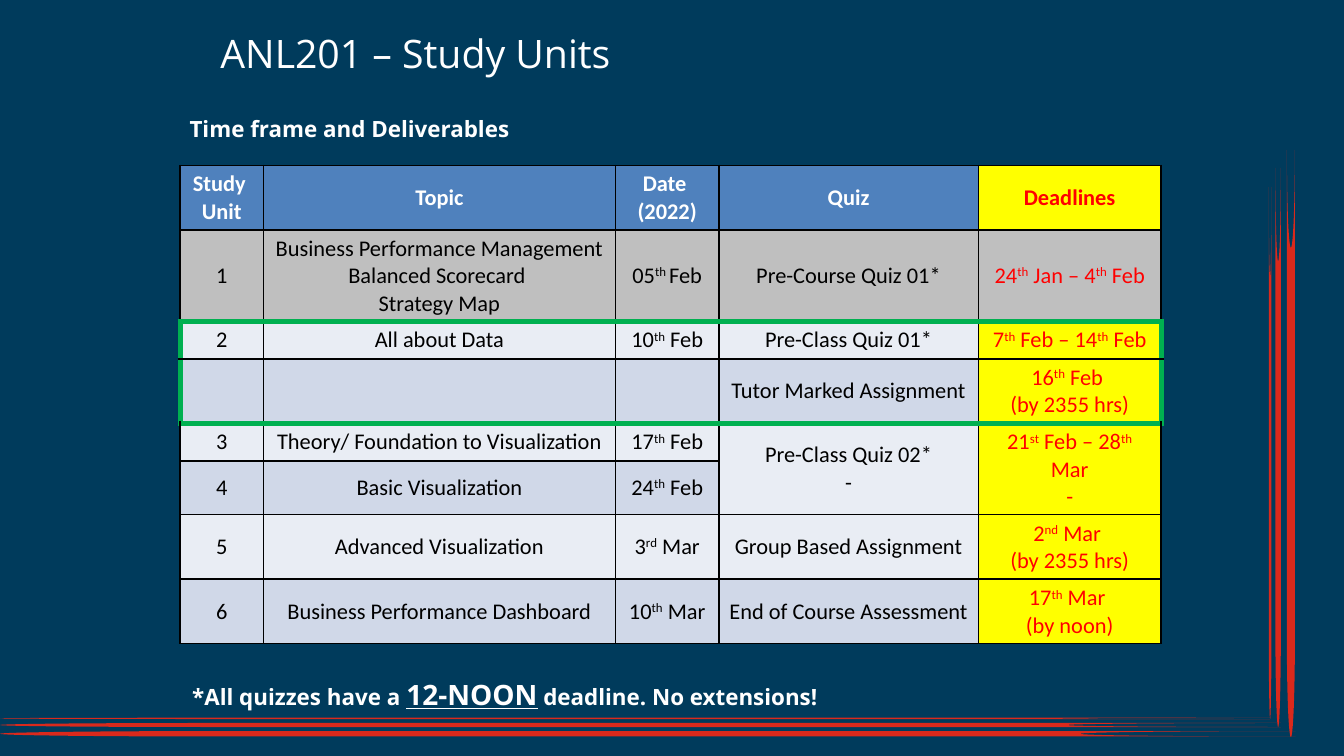
from typing import Callable, NamedTuple

from lxml.etree import SubElement
from pptx import Presentation
from pptx.dml.color import RGBColor
from pptx.enum.shapes import MSO_SHAPE as Shape
from pptx.enum.text import MSO_ANCHOR as Anchor, PP_ALIGN as Align
from pptx.oxml.ns import qn
from pptx.util import Inches, Pt

NAVY = RGBColor(0x00, 0x3B, 0x5C)
CRIMSON = RGBColor(0xDA, 0x29, 0x1C)
WHITE = RGBColor(0xFF, 0xFF, 0xFF)
BLACK = RGBColor(0x00, 0x00, 0x00)
RED = RGBColor(0xFF, 0x00, 0x00)
YELLOW = RGBColor(0xFF, 0xFF, 0x00)
BLUE = RGBColor(0x4F, 0x81, 0xBD)
GREY = RGBColor(0xBF, 0xBF, 0xBF)
PALE = RGBColor(0xE9, 0xED, 0xF4)
PALE_BLUE = RGBColor(0xD0, 0xD8, 0xE8)
GREEN = RGBColor(0x00, 0xB0, 0x50)

SLIDE_WIDTH = Inches(10)
SLIDE_HEIGHT = SLIDE_WIDTH * 9 // 16


class Streak(NamedTuple):
    left: float
    top: float
    length: float
    thickness: float
    rotation: int = 0


class Unit(NamedTuple):
    number: str
    topic: str
    date: str
    quiz: str
    deadline: str
    height: float
    fill: RGBColor


STREAKS = [
    Streak(0, 5.34, 9.45, 0.01),
    Streak(0, 5.38, 9.53, 0.03),
    Streak(0, 5.44, 9.64, 0.04),
    Streak(7.47, 3.36, 3.96, 0.02, 270),
    Streak(7.43, 3.31, 4.16, 0.04, 270),
    Streak(7.42, 3.27, 4.37, 0.06, 270),
]

# Text between carets is a superscript
UNITS = [
    Unit("Study \nUnit", "Topic", "Date \n(2022)", "Quiz", "Deadlines", 0.47, BLUE),
    Unit("1", "Business Performance Management\nBalanced Scorecard \nStrategy Map",
         "05^th ^Feb", "Pre-Course Quiz 01*", "24^th^ Jan – 4^th^ Feb", 0.68, GREY),
    Unit("2", "All about Data", "10^th^ Feb", "Pre-Class Quiz 01*",
         "7^th^ Feb – 14^th^ Feb", 0.28, PALE),
    Unit("", "", "", "Tutor Marked Assignment", "16^th^ Feb \n(by 2355 hrs)", 0.47, PALE_BLUE),
    Unit("3", "Theory/ Foundation to Visualization", "17^th^ Feb",
         "Pre-Class Quiz 02*\n-", "21^st^ Feb – 28^th^ Mar\n-", 0.28, PALE),
    Unit("4", "Basic Visualization", "24^th^ Feb", "", "", 0.28, PALE_BLUE),
    Unit("5", "Advanced Visualization", "3^rd^ Mar", "Group Based Assignment",
         "2^nd^ Mar \n(by 2355 hrs)", 0.47, PALE),
    Unit("6", "Business Performance Dashboard", "10^th^ Mar", "End of Course Assessment",
         "17^th^ Mar \n(by noon)", 0.47, PALE_BLUE),
]
COLUMN_WIDTHS = [0.62, 2.62, 0.77, 1.93, 1.36]
QUIZ, DEADLINE = 3, 4
CURRENT_ROWS = (2, 3)
MERGED_ROWS = (4, 5)


def superscript(run) -> None:
    run._r.get_or_add_rPr().set("baseline", "30000")


def emphasis(run) -> None:
    run.font.size = Pt(15)
    run.font.underline = True


def write_text(frame, text: str, *, size: float = 12, font: str = "Open Sans",
               color: RGBColor = WHITE, bold: bool = False, align: Align = Align.LEFT,
               mark: Callable = superscript) -> None:
    """Fill a frame, one paragraph a line; mark styles the text between carets."""
    for row, line in enumerate(text.split("\n")):
        paragraph = frame.add_paragraph() if row else frame.paragraphs[0]
        paragraph.alignment = align
        for index, piece in enumerate(line.split("^")):
            if not piece:
                continue
            run = paragraph.add_run()
            run.text = piece
            run.font.name = font
            run.font.size = Pt(size)
            run.font.bold = bold
            run.font.color.rgb = color
            if index % 2:
                mark(run)


def set_insets(target) -> None:
    target.margin_left = target.margin_right = Inches(0.07)
    target.margin_top = target.margin_bottom = Inches(0.04)


def add_heading(slide, left: float, top: float, height: float, text: str, **style) -> None:
    frame = slide.shapes.add_textbox(
        Inches(left), Inches(top), Inches(6.19), Inches(height)).text_frame
    frame.word_wrap = True
    set_insets(frame)
    write_text(frame, text, **style)


def paint(shape, color: RGBColor) -> None:
    shape.shadow.inherit = False
    shape.fill.solid()
    shape.fill.fore_color.rgb = color
    shape.line.fill.background()


def add_streak(slide, streak: Streak) -> None:
    shape = slide.shapes.add_shape(
        Shape.FLOWCHART_STORED_DATA, Inches(streak.left), Inches(streak.top),
        Inches(streak.length), Inches(streak.thickness))
    shape.rotation = streak.rotation
    paint(shape, CRIMSON)


def set_borders(cell, row: int, column: int) -> None:
    """Black grid, with a green frame around the current rows."""
    first, last = CURRENT_ROWS
    current = first <= row <= last
    green_edges = {
        "a:lnL": current and column == 0,
        "a:lnR": current and column == DEADLINE,
        "a:lnT": row in (first, last + 1),
        "a:lnB": row in (first - 1, last),
    }
    properties = cell._tc.get_or_add_tcPr()
    for position, (edge, green) in enumerate(green_edges.items()):
        border = SubElement(properties, qn(edge), w=str(Pt(3 if green else 1)))
        fill = SubElement(border, qn("a:solidFill"))
        SubElement(fill, qn("a:srgbClr"), val=str(GREEN if green else BLACK))
        properties.insert(position, border)


def add_schedule(slide) -> None:
    table = slide.shapes.add_table(
        len(UNITS), len(COLUMN_WIDTHS), Inches(1.34), Inches(1.23),
        Inches(sum(COLUMN_WIDTHS)), Inches(sum(unit.height for unit in UNITS))).table
    for column, width in zip(table.columns, COLUMN_WIDTHS):
        column.width = Inches(width)
    for row, unit in enumerate(UNITS):
        table.rows[row].height = Inches(unit.height)
        for column, text in enumerate(unit[:len(COLUMN_WIDTHS)]):
            cell = table.cell(row, column)
            deadline = column == DEADLINE
            cell.vertical_anchor = Anchor.MIDDLE
            set_insets(cell)
            cell.fill.solid()
            cell.fill.fore_color.rgb = YELLOW if deadline and unit.fill != GREY else unit.fill
            ink = RED if deadline else BLACK if row else WHITE
            write_text(cell.text_frame, text, font="Calibri", color=ink,
                       bold=row == 0, align=Align.CENTER)
            set_borders(cell, row, column)
    # Units 3 and 4 share a quiz and a deadline
    top, bottom = MERGED_ROWS
    for column in (QUIZ, DEADLINE):
        table.cell(top, column).merge(table.cell(bottom, column))


def main() -> None:
    deck = Presentation()
    deck.slide_width, deck.slide_height = SLIDE_WIDTH, SLIDE_HEIGHT
    slide = deck.slides.add_slide(deck.slide_layouts[6])

    # Backdrop
    paint(slide.shapes.add_shape(Shape.RECTANGLE, 0, 0, SLIDE_WIDTH, SLIDE_HEIGHT), NAVY)
    for streak in STREAKS:
        add_streak(slide, streak)

    # Headings, schedule and footnote
    add_heading(slide, 1.57, 0.18, 0.5, "ANL201 – Study Units", size=21)
    add_heading(slide, 1.34, 0.82, 0.25, "Time frame and Deliverables", bold=True)
    add_schedule(slide)
    add_heading(slide, 1.36, 5, 0.25, "*All quizzes have a ^12-NOON^ deadline. No extensions!",
                bold=True, mark=emphasis)

    deck.save("out.pptx")


if __name__ == "__main__":
    main()
